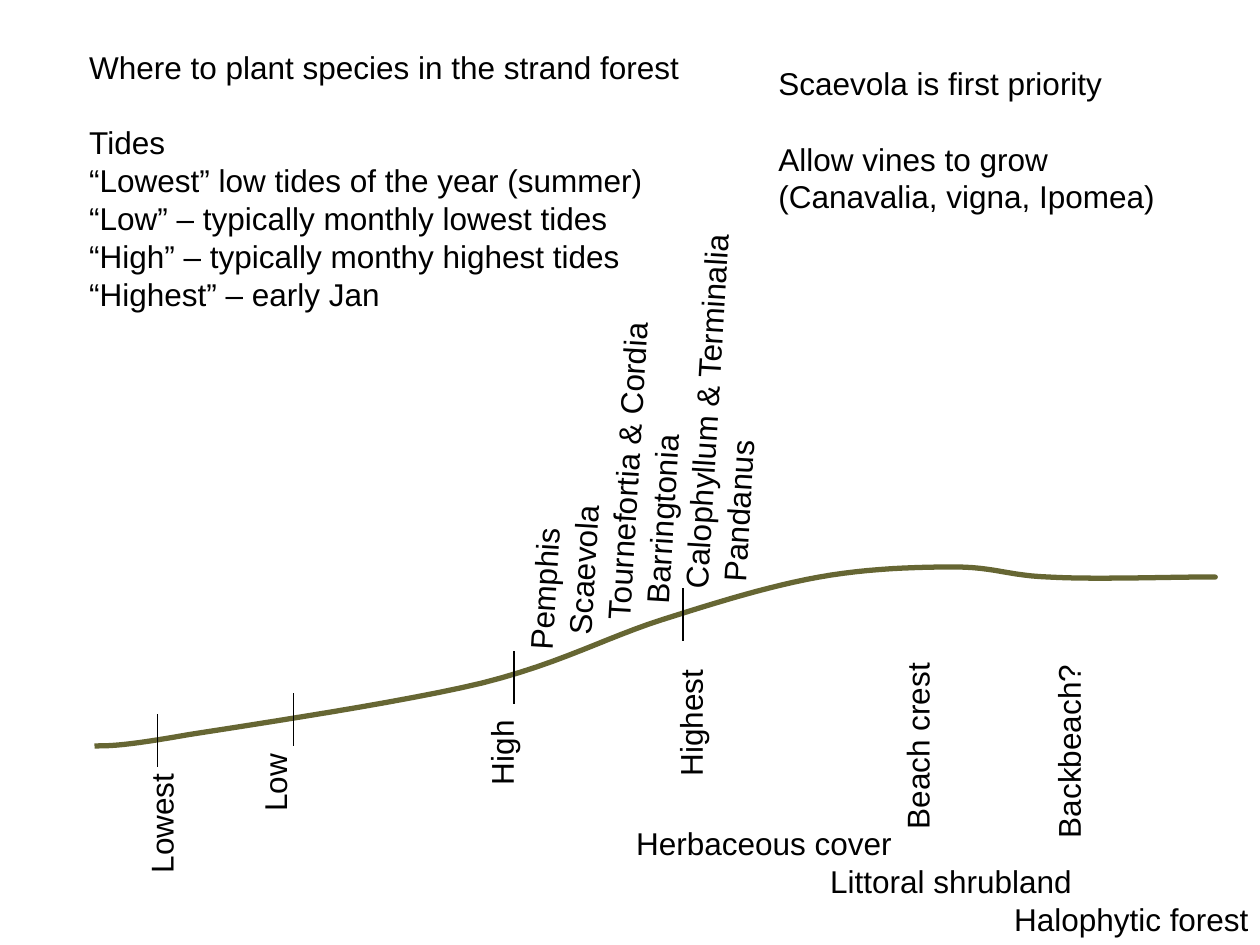
from lxml.etree import SubElement
from pptx import Presentation
from pptx.dml.color import RGBColor
from pptx.enum.shapes import MSO_CONNECTOR
from pptx.enum.text import MSO_ANCHOR, MSO_AUTO_SIZE, PP_ALIGN
from pptx.oxml.ns import qn
from pptx.util import Inches, Pt

LINE_HEIGHT = 21.6  # points
SPACE = 0.07  # inches, one step of indent


def color(hex_value):
    return RGBColor.from_string(hex_value)


def set_format(target, values):
    for name, value in values.items():
        setattr(target, name, value)


class StrandSlide:
    font = {"name": "Arial", "size": Pt(18)}
    paragraph_format = {"alignment": PP_ALIGN.LEFT, "line_spacing": Pt(LINE_HEIGHT)}
    frame_format = {
        "auto_size": MSO_AUTO_SIZE.NONE, "vertical_anchor": MSO_ANCHOR.TOP,
        "margin_left": Inches(0.1), "margin_right": Inches(0.1),
        "margin_top": Inches(0.05), "margin_bottom": Inches(0.05),
    }
    text_color = "000000"
    ground_color = "666633"

    def __init__(self, presentation):
        self.slide = presentation.slides.add_slide(presentation.slide_layouts[6])

    def text(self, box, lines, rotation=0, wrap=False):
        """Each line is (text, indent in inches, empty lines above)."""
        shape = self.slide.shapes.add_textbox(*map(Inches, box))
        shape.rotation = rotation
        frame = shape.text_frame
        set_format(frame, {**self.frame_format, "word_wrap": wrap})
        for index, (words, indent, gap) in enumerate(lines):
            paragraph = frame.paragraphs[0] if index == 0 else frame.add_paragraph()
            set_format(paragraph, self.paragraph_format)
            if gap:
                paragraph.space_before = Pt(gap * LINE_HEIGHT)
            if indent:
                paragraph._p.get_or_add_pPr().set("marL", str(Inches(indent)))
            run = paragraph.add_run()
            run.text = words
            set_format(run.font, self.font)
            run.font.color.rgb = color(self.text_color)

    def tick(self, x, top, height):
        connector = self.slide.shapes.add_connector(
            MSO_CONNECTOR.STRAIGHT,
            Inches(x), Inches(top), Inches(x), Inches(top + height))
        connector.line.width = Pt(0.75)
        connector.line.color.rgb = color(self.text_color)
        SubElement(connector._element.spPr, qn("a:effectLst"))

    def curve(self, start, segments, steps=12):
        points = []
        previous = start
        for first, second, end in segments:
            for step in range(1, steps + 1):
                t = step / steps
                weights = ((1 - t) ** 3, 3 * t * (1 - t) ** 2,
                           3 * t ** 2 * (1 - t), t ** 3)
                corners = (previous, first, second, end)
                points.append(tuple(
                    Inches(sum(w * corner[axis] for w, corner in zip(weights, corners)))
                    for axis in (0, 1)))
            previous = end
        builder = self.slide.shapes.build_freeform(*map(Inches, start))
        builder.add_line_segments(points, close=False)
        shape = builder.convert_to_shape()
        shape.shadow.inherit = False
        shape.fill.background()
        shape.line.width = Pt(3)
        shape.line.color.rgb = color(self.ground_color)


def main():
    presentation = Presentation()
    set_format(presentation, {"slide_width": Inches(10), "slide_height": Inches(7.5)})
    strand = StrandSlide(presentation)

    # Species along the slope
    species = [("Pemphis", 1), ("Scaevola", 3), ("Tournefortia & Cordia", 5),
               ("Barringtonia", 7), ("Calophyllum & Terminalia", 9), ("Pandanus", 10)]
    strand.text((3.3, 2.59, 3.67, 1.9),
                [(name, steps * SPACE, 0) for name, steps in species], rotation=273.4)

    # Beach profile
    strand.curve((0.75, 5.92), [
        ((0.87, 5.92), (0.99, 5.92), (1.5, 5.83)),
        ((2.01, 5.75), (3.21, 5.57), (3.83, 5.42)),
        ((4.46, 5.26), (4.81, 5.06), (5.25, 4.92)),
        ((5.69, 4.78), (6.11, 4.65), (6.5, 4.58)),
        ((6.89, 4.51), (7.28, 4.5), (7.58, 4.5)),
        ((7.89, 4.5), (8.01, 4.57), (8.33, 4.58)),
        ((8.65, 4.6), (9.29, 4.58), (9.5, 4.58)),
        ((9.71, 4.58), (9.65, 4.58), (9.58, 4.58)),
    ])

    # Tide marks
    for x, top in [(1.25, 5.67), (2.33, 5.5), (4.08, 5.17), (5.42, 4.67)]:
        strand.tick(x, top, 0.42)

    # Names of the zones below the profile
    zones = [("Lowest", 0, 0), ("Low", 7, 2), ("High", 10, 5), ("Highest", 11, 4),
             ("Beach crest", 5, 5), ("Backbeach?", 4, 3)]
    strand.text((3.95, 2.3, 1.86, 7.6),
                [(name, steps * SPACE, gap) for name, steps, gap in zones], rotation=270)

    # Heading and tide definitions
    strand.text((0.61, 0.33, 4.88, 2.2), [
        ("Where to plant species in the strand forest", 0, 0),
        ("Tides", 0, 1),
        ("“Lowest” low tides of the year (summer)", 0, 0),
        ("“Low” – typically monthly lowest tides", 0, 0),
        ("“High” – typically monthy highest tides", 0, 0),
        ("“Highest” – early Jan", 0, 0),
    ])

    # Planting advice
    strand.text((6.08, 0.46, 3.5, 1.6), [
        ("Scaevola is first priority", 0, 0),
        ("Allow vines to grow (Canavalia, vigna, Ipomea)", 0, 1),
    ], wrap=True)

    # Vegetation belts
    strand.text((4.95, 6.49, 5.06, 1), [
        ("Herbaceous cover", 0, 0),
        ("Littoral shrubland", 22 * SPACE, 0),
        ("Halophytic forest", 3, 0),
    ])

    presentation.save("out.pptx")


if __name__ == "__main__":
    main()
